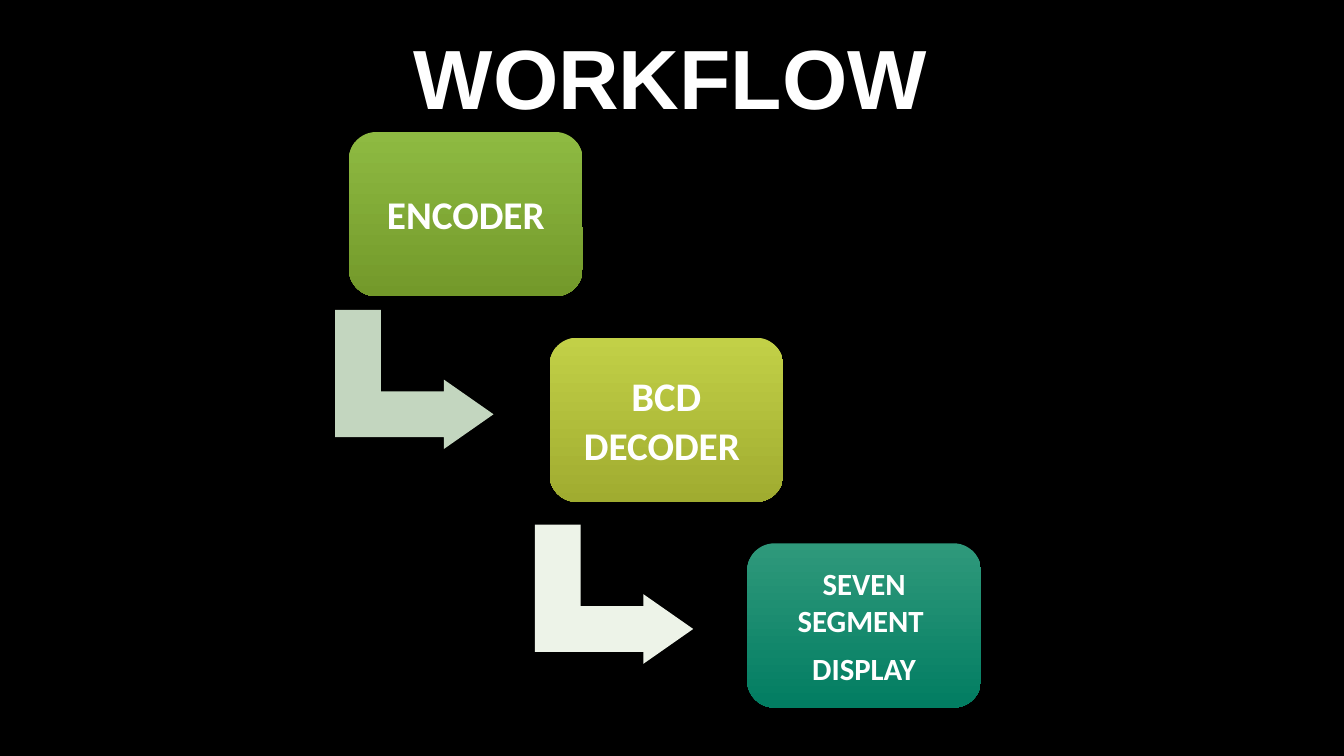
import pptx
import pptx.dml.color
import pptx.enum.shapes
import pptx.enum.text
import pptx.util

Inches = pptx.util.Inches
RGBColor = pptx.dml.color.RGBColor
SHAPE = pptx.enum.shapes.MSO_SHAPE
ALIGN = pptx.enum.text.PP_ALIGN
ANCHOR = pptx.enum.text.MSO_ANCHOR

BLACK = RGBColor(0x00, 0x00, 0x00)
WHITE = RGBColor(0xFF, 0xFF, 0xFF)
GREEN = (RGBColor(0x8E, 0xBA, 0x42), RGBColor(0x73, 0x99, 0x2A))
LIME = (RGBColor(0xC2, 0xD0, 0x47), RGBColor(0xA0, 0xAC, 0x30))
TEAL = (RGBColor(0x2F, 0x99, 0x7B), RGBColor(0x02, 0x7D, 0x62))
SAGE = RGBColor(0xC3, 0xD6, 0xBF)
PALE = RGBColor(0xED, 0xF3, 0xE8)

STAGE_WIDTH, STAGE_HEIGHT = 2.32, 1.63
STAGE_TOP, STAGE_DROP = 1.31, 2.04
ARROW_WIDTH, ARROW_HEIGHT = 1.38, 1.57

# Left edge, gradient, inset, paragraphs of (text, size, bold) spans
STAGES = [
    (3.46, GREEN, 0.12, [[("ENCODER", 28, True)]]),
    (5.45, LIME, 0.12,
     [[("BCD ", 29, True), ("DECODER", 28, True), (" ", 29, False)]]),
    (7.41, TEAL, 0.09,
     [[("SEVEN SEGMENT ", 22, True)], [("DISPLAY", 22, True)]]),
]
# Offset from the top-left corner of the stage it leaves, and colour
ARROWS = [(-0.04, 1.67, SAGE), (-0.05, 1.76, PALE)]


def add_span(para, text, *, size, font="Calibri", bold=True, color=WHITE):
    span = para.add_run()
    span.text = text
    span.font.name = font
    span.font.size = pptx.util.Pt(size)
    span.font.bold = bold
    span.font.color.rgb = color


def add_title(page, left, top, width, height):
    title = page.shapes.title
    title.left, title.top = Inches(left), Inches(top)
    title.width, title.height = Inches(width), Inches(height)
    title.text_frame.vertical_anchor = ANCHOR.MIDDLE
    para = title.text_frame.paragraphs[0]
    para.alignment = ALIGN.CENTER
    add_span(para, "WORKFLOW", size=60, font="Arial")


def add_plain_shape(page, kind, left, top, width, height):
    shape = page.shapes.add_shape(
        kind, Inches(left), Inches(top), Inches(width), Inches(height))
    shape.shadow.inherit = False
    shape.line.fill.background()
    return shape


def add_stage(page, left, top, gradient, inset, paragraphs):
    box = add_plain_shape(page, SHAPE.ROUNDED_RECTANGLE,
                          left, top, STAGE_WIDTH, STAGE_HEIGHT)
    box.fill.gradient()
    box.fill.gradient_angle = 270
    for stop, position, color in zip(box.fill.gradient_stops, (0, 1), gradient):
        stop.position = position
        stop.color.rgb = color

    frame = box.text_frame
    frame.word_wrap = True
    frame.vertical_anchor = ANCHOR.MIDDLE
    frame.margin_left = frame.margin_right = Inches(inset)
    frame.margin_top = frame.margin_bottom = Inches(inset)
    for index, spans in enumerate(paragraphs):
        para = frame.add_paragraph() if index else frame.paragraphs[0]
        para.alignment = ALIGN.CENTER
        if index:
            para.space_before = pptx.util.Pt(8)
        for text, size, bold in spans:
            add_span(para, text, size=size, bold=bold)


def add_arrow(page, left, top, color):
    arrow = add_plain_shape(page, SHAPE.BENT_UP_ARROW,
                            left, top, ARROW_WIDTH, ARROW_HEIGHT)
    arrow.rotation = 90
    for index, value in enumerate((0.328, 0.25, 0.358)):
        arrow.adjustments[index] = value
    arrow.fill.solid()
    arrow.fill.fore_color.rgb = color


def add_workflow(page, top):
    """Stages step down to the right, each joined to the next by an arrow."""
    for index, (left, gradient, inset, paragraphs) in enumerate(STAGES):
        stage_top = top + index * STAGE_DROP
        if index < len(ARROWS):
            across, down, color = ARROWS[index]
            add_arrow(page, left + across, stage_top + down, color)
        add_stage(page, left, stage_top, gradient, inset, paragraphs)


def main():
    deck = pptx.Presentation()
    deck.slide_width, deck.slide_height = Inches(13.33), Inches(7.5)
    page = deck.slides.add_slide(deck.slide_layouts[5])
    page.background.fill.solid()
    page.background.fill.fore_color.rgb = BLACK
    add_title(page, 1.11, 0.2, 11.08, 1.1)
    add_workflow(page, STAGE_TOP)
    deck.save("out.pptx")


if __name__ == "__main__":
    main()
